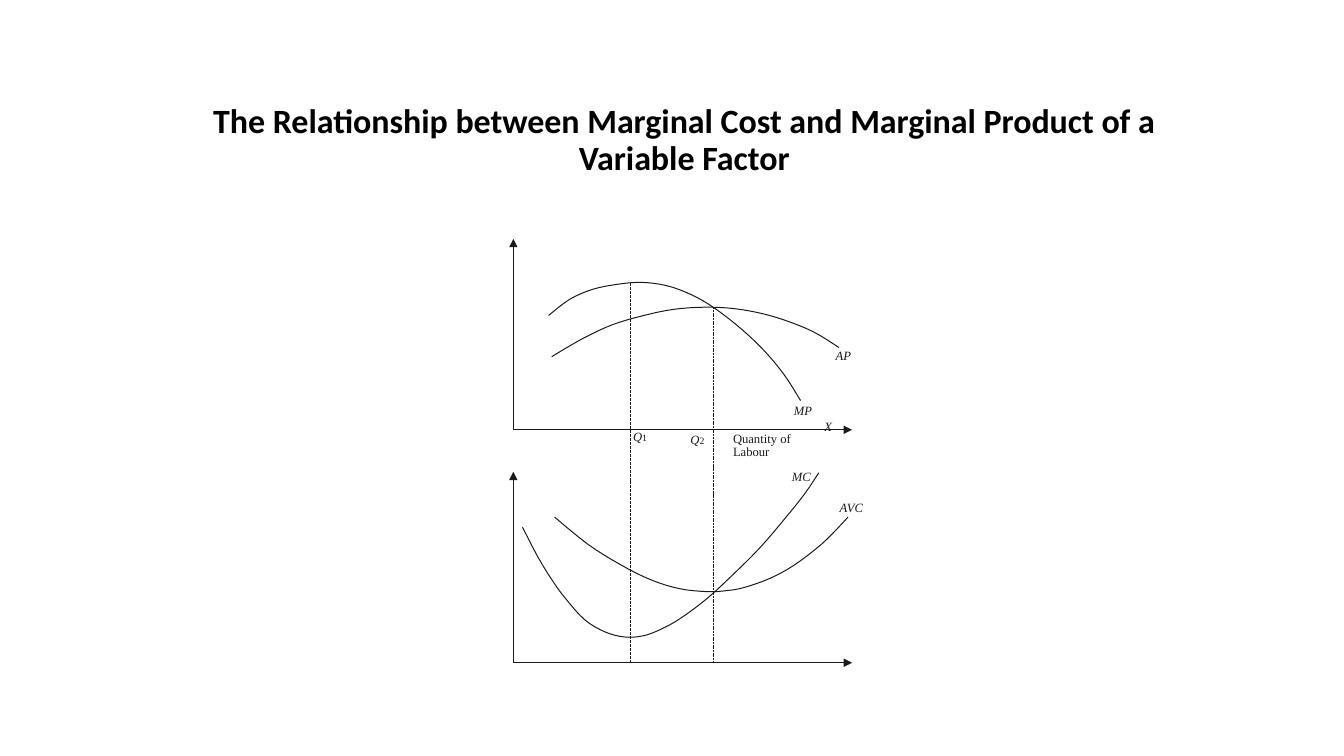
from lxml import etree
from pptx import Presentation
from pptx.dml.color import RGBColor
from pptx.enum.dml import MSO_LINE
from pptx.enum.shapes import MSO_CONNECTOR
from pptx.enum.text import MSO_ANCHOR, PP_ALIGN
from pptx.oxml.ns import qn
from pptx.util import Pt

BLACK = RGBColor(0x00, 0x00, 0x00)
INK = RGBColor(0x1A, 0x1A, 0x1A)
STRAIGHT = MSO_CONNECTOR.STRAIGHT
DASHED = MSO_LINE.SQUARE_DOT
BOTTOM = MSO_ANCHOR.BOTTOM
CENTER = PP_ALIGN.CENTER

TITLE_FONT = "Calibri"
LABEL_FONT = "Times New Roman"
CURVE_WIDTH = 0.72

# Curve knots: distance right of and above the origin of the panel, in points.
MP_CURVE = [(25.2, 81.7), (40.3, 93.2), (56.9, 100.4), (74.9, 104), (91.4, 105.3),
            (108, 103.3), (123.1, 98.3), (139.7, 89.6), (159.1, 75.2),
            (177.1, 58.7), (193, 40), (205.2, 20.9)]
AP_CURVE = [(27.4, 52.2), (49.7, 65.2), (71.3, 75.2), (93.6, 81.7), (114.5, 86),
            (135.4, 87.5), (154.8, 86.8), (173.5, 83.9), (192.2, 78.8),
            (213.8, 70.2), (232.6, 58.7)]
MC_CURVE = [(6.5, 96.8), (17.3, 76), (27.4, 59.4), (37.4, 45.7), (51.1, 30.6),
            (65.5, 22), (79.2, 18.4), (92.2, 19.1), (104.4, 23.4), (118.8, 31.3),
            (138.2, 45.7), (157.7, 63.7), (176.4, 82.4), (193.7, 102.6),
            (208.1, 120.6), (218.2, 135.7)]
AVC_CURVE = [(29.5, 104), (53.3, 84.6), (76.3, 70.2), (97.9, 59.4), (118.8, 52.9),
             (139, 50.8), (151.9, 51.5), (164.2, 53.6), (182.9, 60.1),
             (200.2, 69.5), (217.4, 82.4), (228.2, 92.5), (239, 104)]

# Labels: runs of (text, size, italic), then right, up and box width in points.
PRODUCT_LABELS = [
    ([("AP", 9, True)], 230.2, 57.9, 16),
    ([("MP", 9, True)], 200.4, 18.3, 18),
    ([("X", 9, True)], 222.1, 7, 10),
    ([("Quantity of Labour", 9, False)], 156.9, -2.5, 62),
    ([("Q", 9, True), ("2", 7, False)], 126.5, -2.2, 14.4),
    ([("Q", 9, True), ("1", 7, False)], 85.5, 0, 14.4),
]
COST_LABELS = [
    ([("MC", 9, True)], 199, 137.8, 20),
    ([("AVC", 9, True)], 233.1, 115.6, 22.3),
]
# Quantities: distance right of the origin, height of the guide's top, line width.
QUANTITY_GUIDES = [(83.5, 104.8, 0.72), (142.6, 87.5, 0.48)]


def smooth_points(knots, steps=4):
    """Interpolate the knots with a Catmull-Rom spline."""
    padded = [knots[0], *knots, knots[-1]]
    points = [knots[0]]
    for a, b, c, d in zip(padded, padded[1:], padded[2:], padded[3:]):
        for step in range(1, steps + 1):
            t = step / steps
            points.append(tuple(
                0.5 * (2 * q + (r - p) * t + (2 * p - 5 * q + 4 * r - s) * t ** 2
                       + (3 * q - p - 3 * r + s) * t ** 3)
                for p, q, r, s in zip(a, b, c, d)))
    return points


def add_rule(slide, start, end, width, dash=None, arrow=False):
    rule = slide.shapes.add_connector(STRAIGHT, *(Pt(v) for v in (*start, *end)))
    rule.line.color.rgb = INK
    rule.line.width = Pt(width)
    if dash:
        rule.line.dash_style = dash
    properties = rule._element.spPr
    if arrow:
        etree.SubElement(properties.find(qn("a:ln")), qn("a:tailEnd"), type="triangle")
    etree.SubElement(properties, qn("a:effectLst"))


def add_curve(slide, left, base, knots):
    points = [(Pt(left + x), Pt(base - y)) for x, y in smooth_points(knots)]
    builder = slide.shapes.build_freeform(*points[0])
    builder.add_line_segments(points[1:], close=False)
    curve = builder.convert_to_shape()
    curve.shadow.inherit = False
    curve.fill.background()
    curve.line.color.rgb = INK
    curve.line.width = Pt(CURVE_WIDTH)


def add_label(slide, left, top, width, runs):
    frame = slide.shapes.add_textbox(Pt(left), Pt(top), Pt(width), Pt(10)).text_frame
    frame.margin_left = frame.margin_top = frame.margin_right = frame.margin_bottom = 0
    frame.word_wrap = True
    paragraph = frame.paragraphs[0]
    paragraph.line_spacing = Pt(9.3 if " " in runs[0][0] else 10)
    for text, size, italic in runs:
        run = paragraph.add_run()
        run.text = text
        run.font.name = LABEL_FONT
        run.font.size = Pt(size)
        run.font.italic = italic
        run.font.color.rgb = INK


def add_panel(slide, left, top, width, height, curves, labels):
    """Draw the axes, curves and labels of one chart panel."""
    base = top + height
    for end in ((left, top), (left + width, base)):
        add_rule(slide, (left, base), end, CURVE_WIDTH, arrow=True)
    for knots in curves:
        add_curve(slide, left, base, knots)
    for runs, right, up, label_width in labels:
        add_label(slide, left + right, base - up, label_width, runs)


def add_diagram(slide, left, top, width, height, panel_height):
    """Stack the product panel over the cost panel, joined by quantity guides."""
    bottom = top + height
    for right, up, line_width in QUANTITY_GUIDES:
        x = left + right
        add_rule(slide, (x, top + panel_height - up), (x, bottom), line_width, DASHED)
    add_panel(slide, left, top, width, panel_height,
              (MP_CURVE, AP_CURVE), PRODUCT_LABELS)
    add_panel(slide, left, bottom - panel_height, width, panel_height,
              (MC_CURVE, AVC_CURVE), COST_LABELS)


def add_title(slide, left, top, width, height):
    frame = slide.shapes.add_textbox(Pt(left), Pt(top), Pt(width), Pt(height)).text_frame
    frame.word_wrap = True
    frame.vertical_anchor = BOTTOM
    paragraph = frame.paragraphs[0]
    paragraph.alignment = CENTER
    paragraph.line_spacing = 0.9
    run = paragraph.add_run()
    run.text = "The Relationship between Marginal Cost and Marginal Product of a Variable Factor"
    run.font.name = TITLE_FONT
    run.font.size = Pt(24.3)
    run.font.bold = True
    run.font.color.rgb = BLACK


def main():
    deck = Presentation()
    deck.slide_width, deck.slide_height = Pt(960), Pt(540)
    slide = deck.slides.add_slide(deck.slide_layouts[6])
    add_title(slide, 120.2, 64.8, 737.3, 65.5)
    add_diagram(slide, 366.7, 170.6, 241.9, 302.8, 136.4)
    deck.save("out.pptx")


if __name__ == "__main__":
    main()
